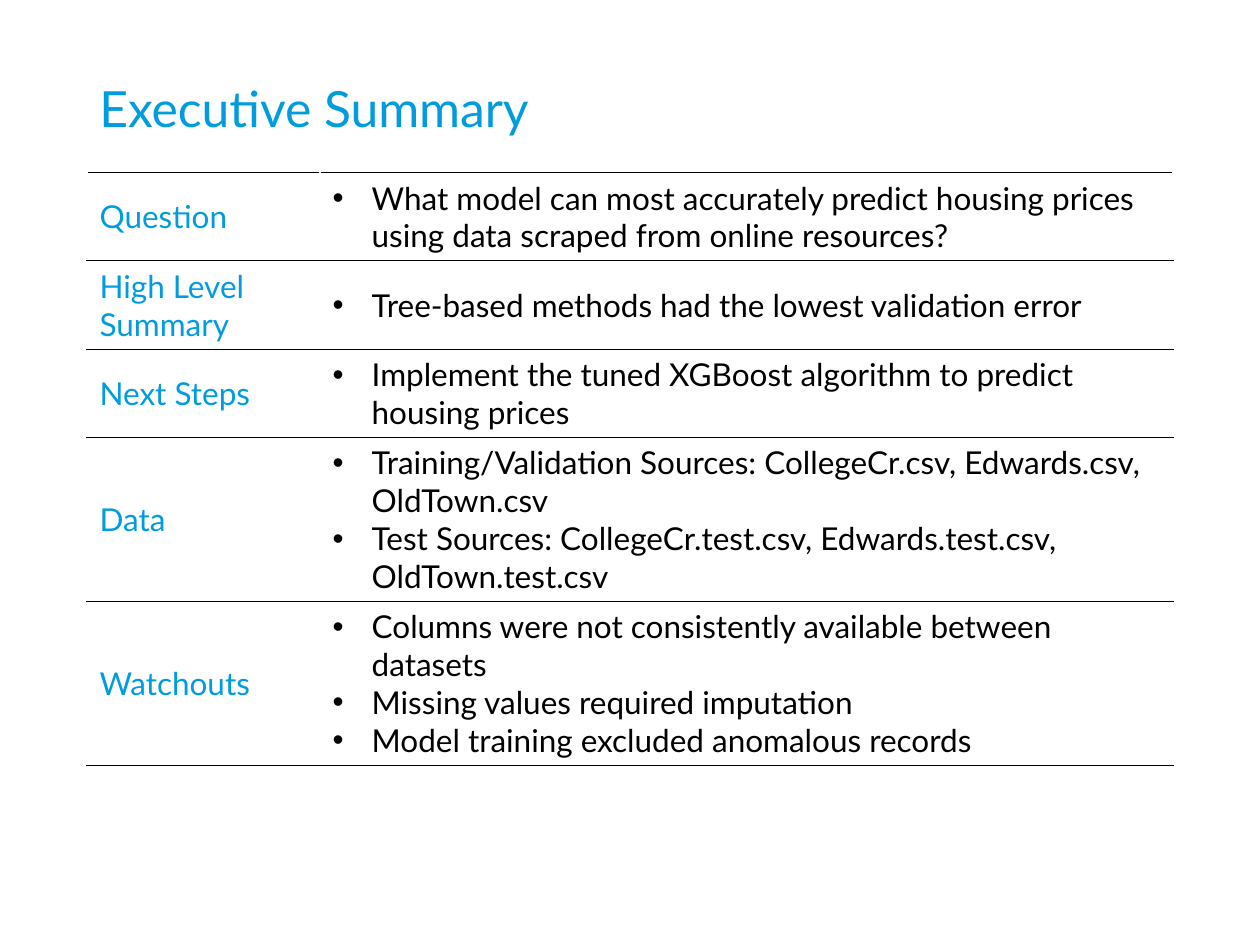
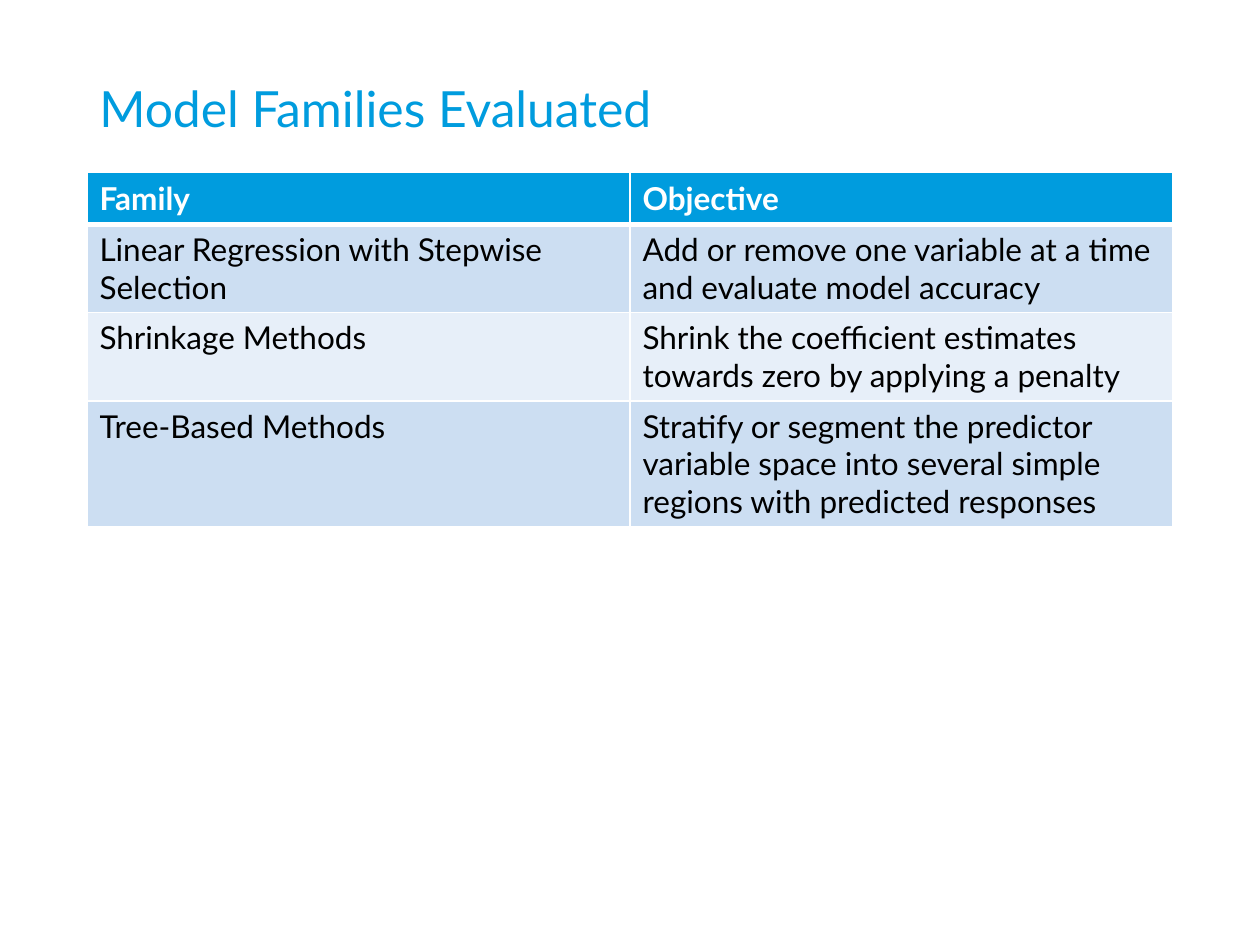
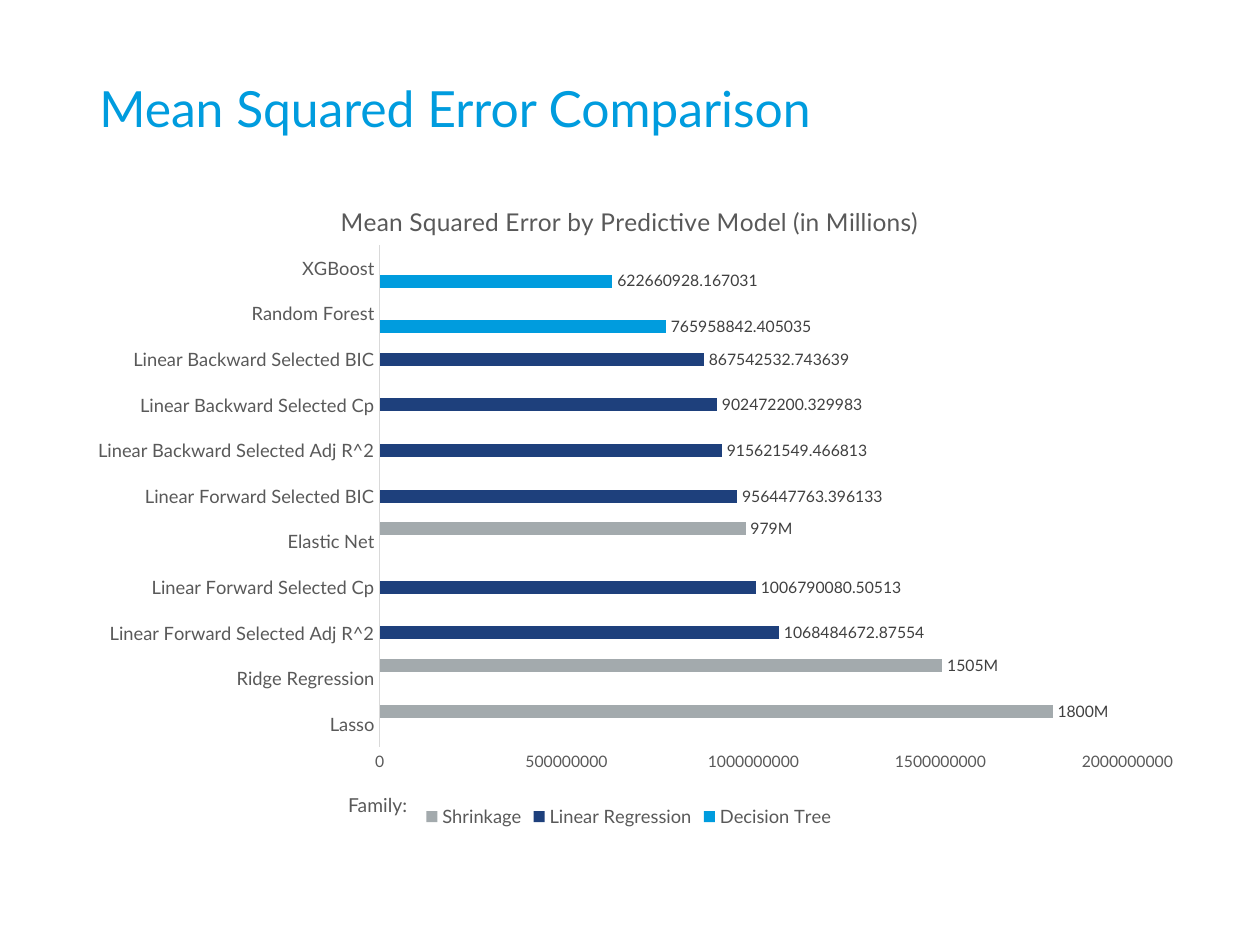
from lxml.etree import Element, SubElement as Sub
from pptx import Presentation
from pptx.chart.data import CategoryChartData as ChartData
from pptx.dml.color import RGBColor
from pptx.enum.chart import XL_CHART_TYPE as Kind
from pptx.enum.chart import XL_LABEL_POSITION as Spot
from pptx.enum.chart import XL_LEGEND_POSITION as Side
from pptx.enum.chart import XL_TICK_MARK as Tick
from pptx.enum.text import MSO_ANCHOR as Anchor
from pptx.enum.text import PP_ALIGN as Align
from pptx.oxml.ns import qn
from pptx.util import Inches, Pt

FACE = "Lato"
SKY, NAVY, STEEL = "009CDE", "1E407C", "A3AAAD"
BLACK, WHITE, GRAY, DARK, PALE = "000000", "FFFFFF", "595959", "404040", "D9D9D9"
BANDS = "CCDEF2", "E7EFF9"
HEAD = 0.69, 0.4, 8.62, 0.97
BODY = 0.69, 1.37, 8.62, 5.24
ROW = 0.41

SUMMARY = [
    ("Question", ["What model can most accurately predict housing prices "
                  "using data scraped from online resources?"]),
    ("High Level Summary", ["Tree-based methods had the lowest validation error"]),
    ("Next Steps", ["Implement the tuned XGBoost algorithm to predict housing prices"]),
    ("Data", ["Training/Validation Sources: CollegeCr.csv, Edwards.csv, OldTown.csv",
              "Test Sources: CollegeCr.test.csv, Edwards.test.csv, OldTown.test.csv"]),
    ("Watchouts", ["Columns were not consistently available between datasets",
                   "Missing values required imputation",
                   "Model training excluded anomalous records"]),
]

MODELS = [
    ("Family", "Objective"),
    ("Linear Regression with Stepwise Selection",
     "Add or remove one variable at a time and evaluate model accuracy"),
    ("Shrinkage Methods",
     "Shrink the coefficient estimates towards zero by applying a penalty"),
    ("Tree-Based Methods",
     "Stratify or segment the predictor variable space into several simple "
     "regions with predicted responses"),
]

GROUPS = {"Decision Tree": (SKY, "General"),
          "Linear Regression": (NAVY, "General"),
          "Shrinkage": (STEEL, '#,,"M"')}
ERRORS = [
    ("Lasso", "Shrinkage", 1800000000),
    ("Ridge Regression", "Shrinkage", 1505000000),
    ("Linear Forward Selected Adj R^2", "Linear Regression", 1068484672.87554),
    ("Linear Forward Selected Cp", "Linear Regression", 1006790080.50513),
    ("Elastic Net", "Shrinkage", 979000000),
    ("Linear Forward Selected BIC", "Linear Regression", 956447763.396133),
    ("Linear Backward Selected Adj R^2", "Linear Regression", 915621549.466813),
    ("Linear Backward Selected Cp", "Linear Regression", 902472200.329983),
    ("Linear Backward Selected BIC", "Linear Regression", 867542532.743639),
    ("Random Forest", "Decision Tree", 765958842.405035),
    ("XGBoost", "Decision Tree", 622660928.167031),
]


def paint(code):
    return RGBColor.from_string(code)


def style(font, size, color, bold=False):
    font.name, font.size, font.bold = FACE, Pt(size), bold
    font.color.rgb = paint(color)


def write(frame, text, size=18, color=BLACK, bold=False, align=None,
          space=None, bullet=False):
    lines = [text] if isinstance(text, str) else text
    for i, line in enumerate(lines):
        para = frame.add_paragraph() if i else frame.paragraphs[0]
        run = para.add_run()
        run.text = line
        style(run.font, size, color, bold)
        if align is not None:
            para.alignment = align
        if space:
            para.line_spacing = space
        if bullet:
            props = para._p.get_or_add_pPr()
            props.set("marL", str(Inches(0.31)))
            props.set("indent", str(-Inches(0.31)))
            Sub(props, qn("a:buFont")).set("typeface", "Arial")
            Sub(props, qn("a:buChar")).set("char", "•")


def label(slide, box, text, anchor=Anchor.TOP, **form):
    frame = slide.shapes.add_textbox(*map(Inches, box)).text_frame
    frame.word_wrap = True
    frame.vertical_anchor = anchor
    write(frame, text, **form)


def start(deck, title):
    slide = deck.slides.add_slide(deck.slide_layouts[6])
    label(slide, HEAD, title, anchor=Anchor.MIDDLE, size=28.5, color=SKY, space=0.9)
    return slide


def edge(cell, sides, color, width):
    props = cell._tc.get_or_add_tcPr()
    for side in sides:
        line = Sub(props, qn("a:ln" + side))
        line.set("w", str(Pt(width)))
        Sub(Sub(line, qn("a:solidFill")), qn("a:srgbClr")).set("val", color)


def grid(slide, box, rows, cols):
    left, top, width, _ = box
    table = slide.shapes.add_table(
        rows, len(cols), *map(Inches, (left, top, width, rows * ROW))).table
    table.first_row = table.horz_banding = False
    for col, part in zip(table.columns, cols):
        col.width = Inches(part)
    return table


def digest(slide, box):
    first = 1.85
    table = grid(slide, box, len(SUMMARY), (first, box[2] - first))
    for r, (topic, points) in enumerate(SUMMARY):
        for c in range(2):
            cell = table.cell(r, c)
            edge(cell, "LR", WHITE, 1)
            edge(cell, "TB", BLACK, 0.5)
            cell.fill.background()
            cell.vertical_anchor = Anchor.MIDDLE
        write(table.cell(r, 0).text_frame, topic, color=SKY)
        write(table.cell(r, 1).text_frame, points, bullet=True)


def models(slide, box):
    table = grid(slide, box, len(MODELS), [box[2] / 2] * 2)
    for r, row in enumerate(MODELS):
        head = r == 0
        for c, text in enumerate(row):
            cell = table.cell(r, c)
            edge(cell, "LR", WHITE, 1)
            edge(cell, "T", WHITE, 3 if r == 1 else 1)
            edge(cell, "B", WHITE, 3 if head else 1)
            cell.fill.solid()
            cell.fill.fore_color.rgb = paint(SKY if head else BANDS[(r - 1) % 2])
            write(cell.text_frame, text, color=WHITE if head else BLACK, bold=head)


def place(part, index, **marks):
    old = part.find(qn("c:layout"))
    if old is not None:
        part.remove(old)
    layout = Element(qn("c:layout"))
    hand = Sub(layout, qn("c:manualLayout"))
    for key, value in marks.items():
        Sub(hand, qn("c:" + key)).set("val", str(value))
    part.insert(index, layout)


def errors(slide, box):
    data = ChartData()
    data.categories = [name for name, _, _ in ERRORS]
    for group in GROUPS:
        data.add_series(group, [value if kin == group else None
                                for _, kin, value in ERRORS])
    chart = slide.shapes.add_chart(
        Kind.BAR_CLUSTERED, *map(Inches, box), data).chart
    style(chart.font, 10, BLACK)

    chart.has_title = True
    write(chart.chart_title.text_frame,
          "Mean Squared Error by Predictive Model (in Millions)",
          size=14, color=GRAY)
    place(chart.element.find(".//" + qn("c:title")), 1,
          xMode="edge", yMode="edge", x=0.23, y=0.04)
    place(chart.element.find(".//" + qn("c:plotArea")), 0,
          layoutTarget="inner", xMode="edge", yMode="edge",
          x=0.27, y=0.11, w=0.69, h=0.76)

    chart.has_legend = True
    chart.legend.position = Side.BOTTOM
    chart.legend.include_in_layout = False
    style(chart.legend.font, 10.5, GRAY)

    for axis, size in ((chart.category_axis, 10.5), (chart.value_axis, 9)):
        axis.major_tick_mark = axis.minor_tick_mark = Tick.NONE
        axis.has_major_gridlines = False
        style(axis.tick_labels.font, size, GRAY)
    line = chart.category_axis.format.line
    line.color.rgb, line.width = paint(PALE), Pt(0.75)
    chart.value_axis.format.line.fill.background()

    plot = chart.plots[0]
    plot.gap_width, plot.overlap = 50, 0
    plot.vary_by_categories = False
    for series, (color, form) in zip(plot.series, GROUPS.values()):
        series.format.fill.solid()
        series.format.fill.fore_color.rgb = paint(color)
        tags = series.data_labels
        tags.show_value = True
        tags.position = Spot.OUTSIDE_END
        tags.number_format, tags.number_format_is_linked = form, False
        style(tags.font, 9, DARK)

    left, top, _, _ = box
    label(slide, (left + 1.9, top + 4.88, 0.74, 0.29), "Family:",
          size=11, color=GRAY, align=Align.RIGHT)


def main():
    deck = Presentation()
    deck.slide_width, deck.slide_height = Inches(10), Inches(7.5)
    for title, draw in (("Executive Summary", digest),
                        ("Model Families Evaluated", models),
                        ("Mean Squared Error Comparison", errors)):
        draw(start(deck, title), BODY)
    deck.save("out.pptx")


if __name__ == "__main__":
    main()
